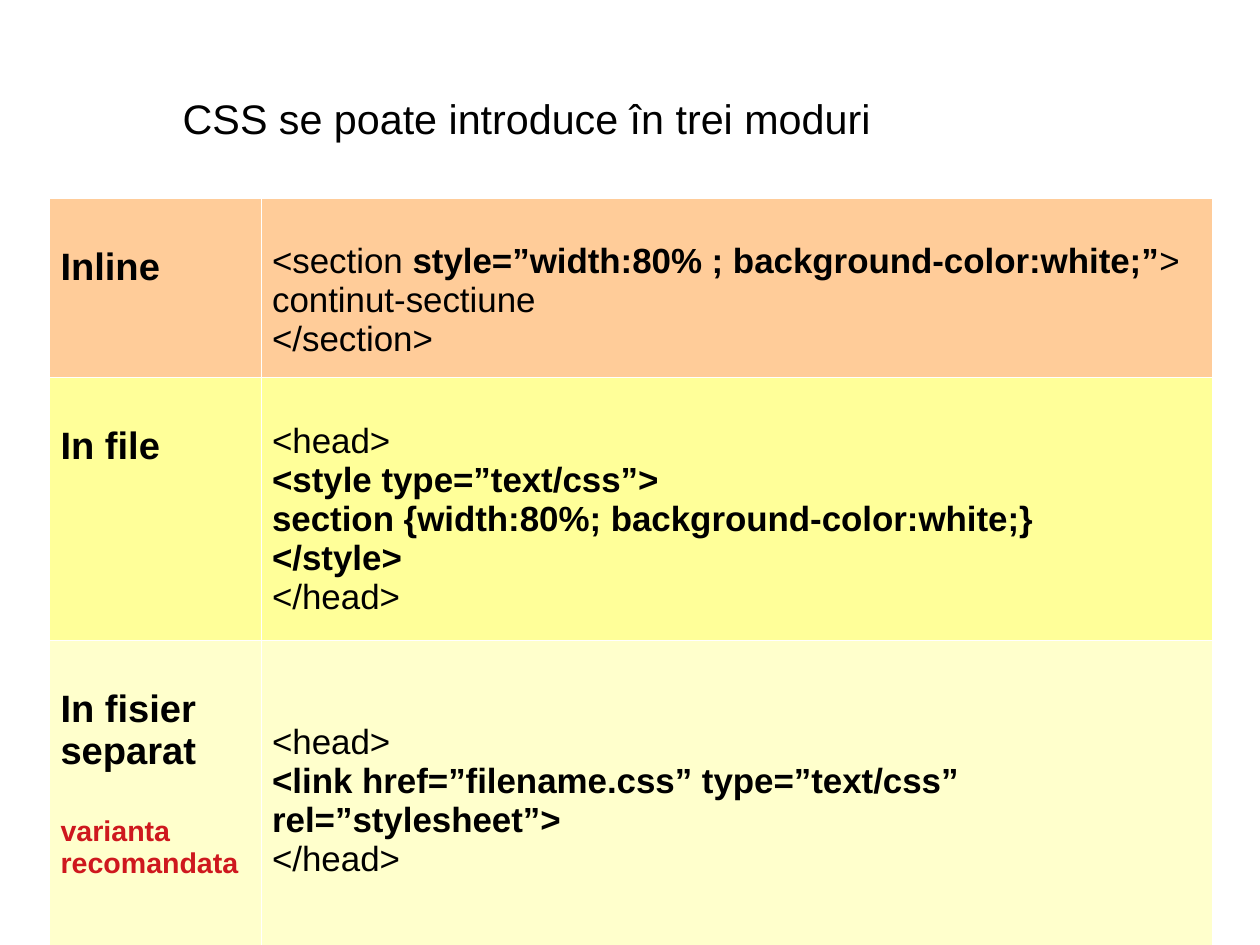
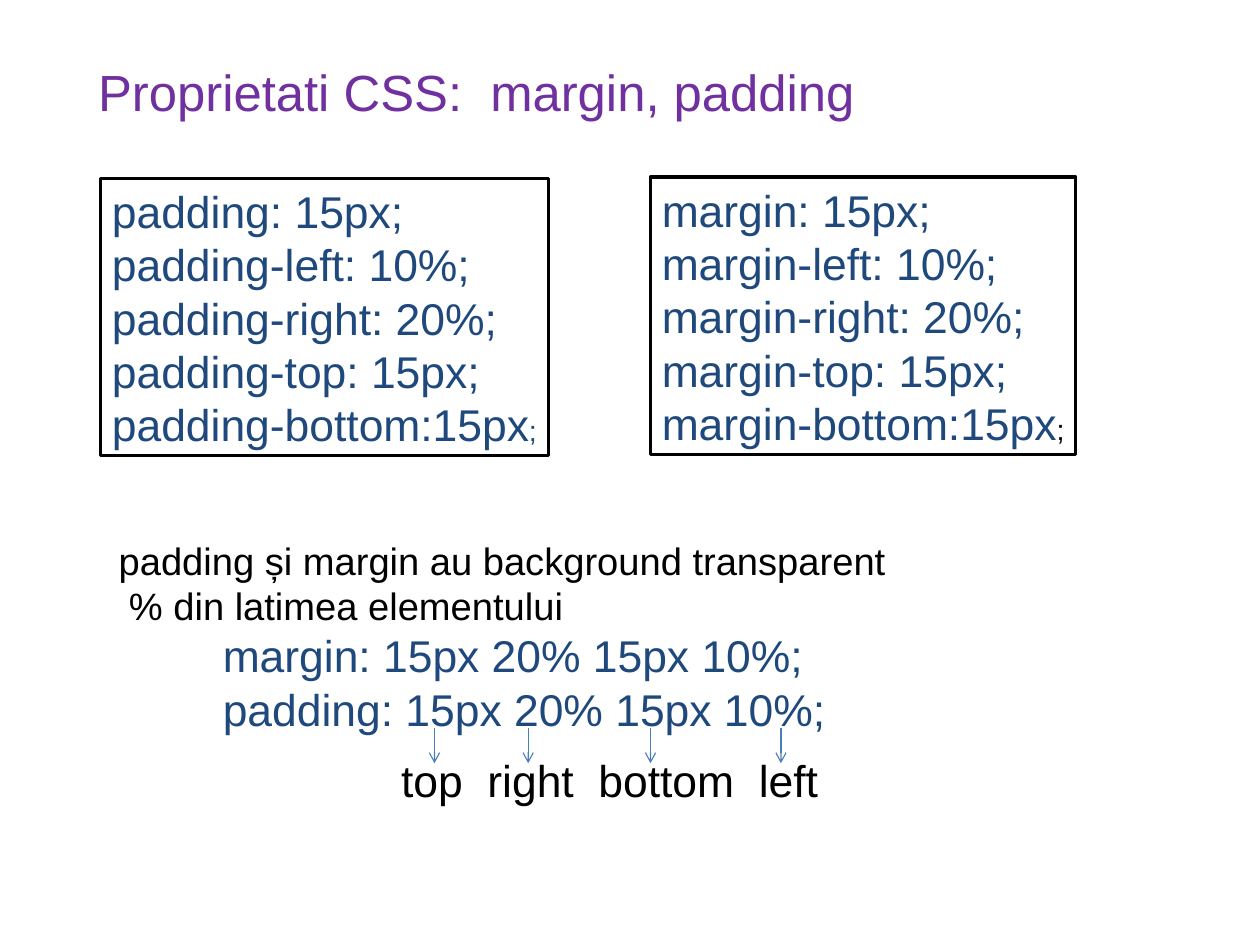
import pptx
import pptx.dml.color
import pptx.enum.dml
import pptx.enum.shapes
import pptx.enum.text
import pptx.oxml
import pptx.oxml.ns
import pptx.util
from lxml import etree

WIDTH, HEIGHT = pptx.util.Cm(28), pptx.util.Cm(21)
BLACK, WHITE, NAVY, PURPLE, RED = "000000", "FFFFFF", "1F497D", "7030A0", "CE181E"
ARROW_BLUE = "4A7EBB"
ROW_FILLS = ("FFCC99", "FFFF99", "FFFFCC")
LABEL_SIZE, CODE_SIZE, PROPERTY_SIZE = 24, 22, 28


def across(percent):
    return round(WIDTH * percent / 100)


def down(percent):
    return round(HEIGHT * percent / 100)


def area(left, top, width, height):
    """Turn percentages of the slide into a position and a size."""
    return across(left), down(top), across(width), down(height)


def rgb(hex_code):
    return pptx.dml.color.RGBColor.from_string(hex_code)


def paint(fill, hex_code):
    fill.solid()
    fill.fore_color.rgb = rgb(hex_code)


def add_child(parent, tag, **attributes):
    return etree.SubElement(parent, pptx.oxml.ns.qn(tag), attributes)


def write(frame, paragraphs, size, color=BLACK, line_spacing=None):
    """Write paragraphs, each a string or a list of (text, font values)."""
    for number, runs in enumerate(paragraphs):
        paragraph = frame.add_paragraph() if number else frame.paragraphs[0]
        paragraph.alignment = pptx.enum.text.PP_ALIGN.LEFT
        paragraph.line_spacing = line_spacing
        for text, changes in [(runs, {})] if isinstance(runs, str) else runs:
            run = paragraph.add_run()
            run.text = text
            values = {"name": "Arial", "size": size, "color": color, "bold": False} | changes
            run.font.color.rgb = rgb(values.pop("color"))
            values["size"] = pptx.util.Pt(values["size"])
            for key, value in values.items():
                setattr(run.font, key, value)


def fit_text(frame, wrap):
    settings = {
        "word_wrap": wrap,
        "auto_size": pptx.enum.text.MSO_AUTO_SIZE.SHAPE_TO_FIT_TEXT,
        "vertical_anchor": pptx.enum.text.MSO_ANCHOR.TOP,
    }
    for key, value in settings.items():
        setattr(frame, key, value)


def add_text(slide, place, paragraphs, size, color=BLACK, wrap=False):
    frame = slide.shapes.add_textbox(*area(*place)).text_frame
    fit_text(frame, wrap)
    write(frame, paragraphs, size, color, line_spacing=1.0)
    return frame


def add_property_box(slide, place, paragraphs):
    box = slide.shapes.add_shape(pptx.enum.shapes.MSO_SHAPE.RECTANGLE, *area(*place))
    box.shadow.inherit = False
    paint(box.fill, WHITE)
    paint(box.line.fill, BLACK)
    box.line.width = pptx.util.Pt(2)
    fit_text(box.text_frame, wrap=False)
    write(box.text_frame, paragraphs, PROPERTY_SIZE, NAVY, line_spacing=1.0)


def add_down_arrow(slide, x, top, bottom):
    arrow = slide.shapes.add_connector(
        pptx.enum.shapes.MSO_CONNECTOR.STRAIGHT,
        across(x), down(top), across(x), down(bottom))
    paint(arrow.line.fill, ARROW_BLUE)
    arrow.line.width = pptx.util.Pt(0.75)
    properties = arrow._element.spPr
    add_child(properties.find(pptx.oxml.ns.qn("a:ln")), "a:tailEnd", type="arrow")
    add_child(properties, "a:effectLst")


def outline_cell(cell):
    """Give all four sides of a cell a hairline in white."""
    properties = cell._tc.get_or_add_tcPr()
    for tag in ("a:lnL", "a:lnR", "a:lnT", "a:lnB"):
        side = add_child(properties, tag, w="720")
        add_child(add_child(side, "a:solidFill"), "a:srgbClr", val=WHITE)


def fill_cell(cell, paragraphs, size, skipped_lines, fill):
    """Start the text a number of line heights below the top of the cell."""
    cell.margin_top = pptx.util.Inches(0.05) + pptx.util.Pt(skipped_lines * size * 1.11)
    outline_cell(cell)
    paint(cell.fill, fill)
    write(cell.text_frame, paragraphs, size)


def add_methods_table(slide, left, top, column_widths, row_heights, methods):
    table = slide.shapes.add_table(
        len(row_heights), len(column_widths),
        *area(left, top, sum(column_widths), sum(row_heights))).table
    table.first_row = table.horz_banding = False
    for column, width in zip(table.columns, column_widths):
        column.width = across(width)
    for row, height, fill, (label, code, skipped) in zip(
            table.rows, row_heights, ROW_FILLS, methods):
        row.height = down(height)
        fill_cell(row.cells[0], label, LABEL_SIZE, 1, fill)
        fill_cell(row.cells[1], code, CODE_SIZE, skipped, fill)
    return table


def bold(text, **changes):
    return [(text, {"bold": True} | changes)]


def build_methods_slide(slide):
    methods = [
        ([bold("Inline")],
         [[("<section ", {}),
           *bold("style=”width:80% ; background-color:white;”"),
           ("> continut-sectiune", {})],
          "</section>"], 1),
        ([bold("In file")],
         ["<head>",
          bold("<style type=”text/css”>"),
          bold("section {width:80%; background-color:white;}"),
          bold("</style>"),
          "</head>"], 1),
        ([bold("In fisier separat"),
          bold("varianta recomandata", size=18, color=RED)],
         ["<head>",
          bold("<link href=”filename.css” type=”text/css” rel=”stylesheet”>"),
          "</head>"], 2),
    ]
    table = add_methods_table(
        slide, 3.9, 20.92, (16.79, 75.5), (18.98, 27.81, 32.29), methods)
    recommendation = table.cell(2, 0).text_frame.paragraphs[1]
    recommendation.space_before = pptx.util.Pt(LABEL_SIZE * 1.12)
    add_text(slide, (13.61, 9.31, 70.78, 13.18),
             ["CSS se poate introduce în trei moduri"], 26, wrap=True)


def build_properties_slide(slide):
    boxes = (
        ("padding", (7.99, 18.86, 35.57, 29.38), NAVY),
        ("margin", (51.63, 18.74, 33.76, 29.38), BLACK),
    )
    for name, place, semicolon_color in boxes:
        add_property_box(slide, place, [
            f"{name}: 15px;",
            f"{name}-left: 10%;",
            f"{name}-right: 20%;",
            f"{name}-top: 15px;",
            [(f"{name}-bottom:15px", {}), (";", {"size": 18, "color": semicolon_color})],
        ])
    add_text(slide, (6.9, 5.8, 63.88, 13.3),
             ["Proprietati CSS:  margin, padding"], 32, PURPLE, wrap=True)
    notes = add_text(slide, (8.53, 56.23, 62.98, 10.16),
                     ["padding și margin au background transparent",
                      "% din latimea elementului"], 24)
    notes.paragraphs[1]._p.get_or_add_pPr().set("marL", str(pptx.util.Inches(0.09)))
    add_text(slide, (16.79, 65.9, 49.64, 12.45),
             [f"{name}: 15px 20% 15px 10%;" for name in ("margin", "padding")],
             PROPERTY_SIZE, NAVY)
    for x in (34.48, 41.92, 51.63, 61.98):
        add_down_arrow(slide, x, 77.03, 80.77)
    add_text(slide, (30.94, 79.08, 34.94, 6.89),
             ["top  right  bottom  left"], PROPERTY_SIZE)


def main():
    deck = pptx.Presentation()
    deck.slide_width, deck.slide_height = WIDTH, HEIGHT
    blank = deck.slide_layouts[6]
    for build in (build_methods_slide, build_properties_slide):
        build(deck.slides.add_slide(blank))
    deck.save("out.pptx")


if __name__ == "__main__":
    main()
